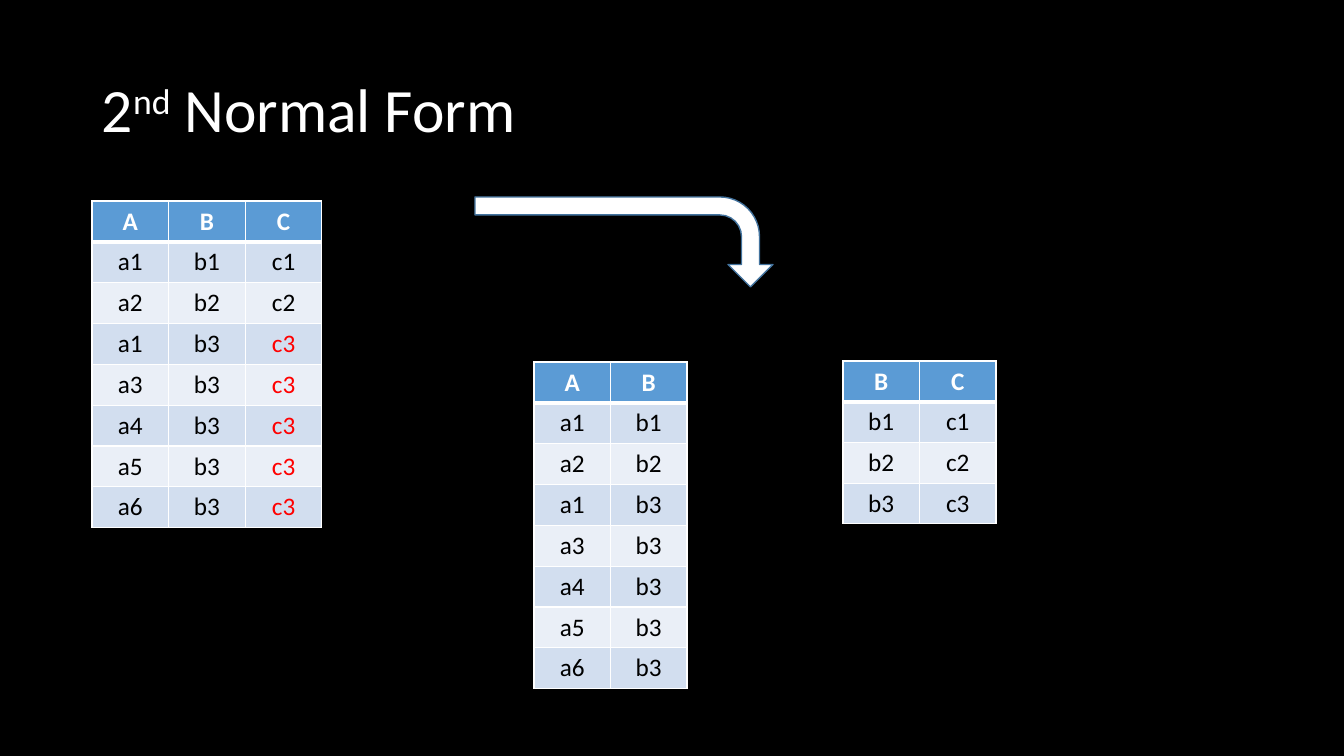
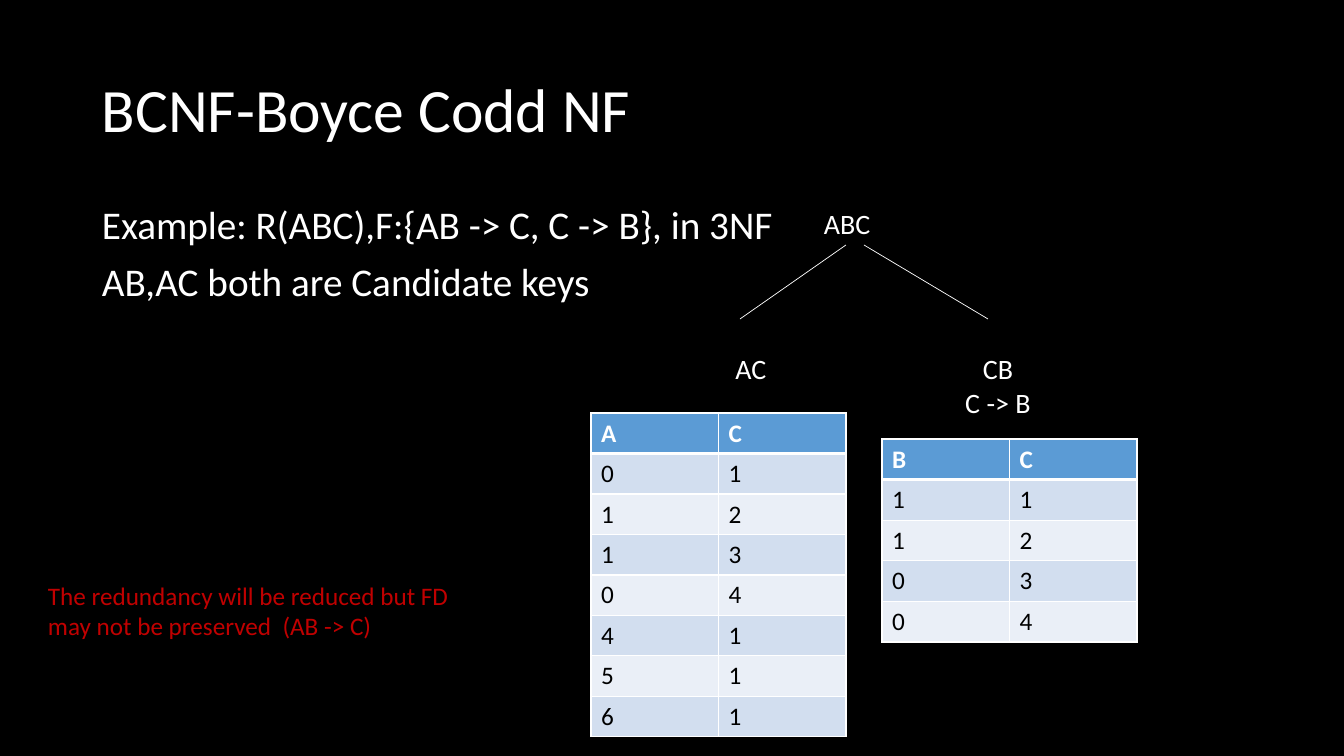
from lxml import etree
from pptx import Presentation
from pptx import util as u
from pptx.dml import color
from pptx.enum import shapes, text
from pptx.oxml import ns

EMU_PER_PX = 914400 / 100.8
FONT = "Calibri"
WHITE, BLACK, RED, DARK_RED = "FFFFFF", "000000", "FF0000", "C00000"
HEADER, BANDS = "5B9BD5", ("D2DEEF", "EAEFF7")
ARROW_EDGE = "43739E"
TITLE_BOX = (92, 40, 1159, 146)
CENTER = text.PP_ALIGN.CENTER


def px(*lengths):
    return [u.Emu(round(length * EMU_PER_PX)) for length in lengths]


def rgb(value):
    return color.RGBColor.from_string(value)


def fill(target, value):
    target.fill.solid()
    target.fill.fore_color.rgb = rgb(value)


def set_format(target, values):
    for name, value in values.items():
        setattr(target, name, value)


def add_run(paragraph, words, size, ink, bold=False):
    run = paragraph.add_run()
    run.text = words
    set_format(run.font, {"name": FONT, "size": u.Pt(size), "bold": bold})
    run.font.color.rgb = rgb(ink)
    return run


def add_text(slide, box, lines, size, ink=WHITE, wrap=True, frame_format=None, **paragraph_format):
    """Add one paragraph per line; a line is a string or a list of (words, baseline)."""
    frame = slide.shapes.add_textbox(*px(*box)).text_frame
    set_format(frame, {"word_wrap": wrap, **(frame_format or {})})
    for index, line in enumerate(lines):
        paragraph = frame.add_paragraph() if index else frame.paragraphs[0]
        set_format(paragraph, paragraph_format)
        for words, baseline in [(line, 0)] if isinstance(line, str) else line:
            run = add_run(paragraph, words, size, ink)
            if baseline:
                run.font._element.set("baseline", str(baseline * 1000))


def add_borders(cell, widths):
    properties = cell._tc.get_or_add_tcPr()
    for side, width in widths.items():
        line = etree.SubElement(properties, ns.qn(f"a:ln{side}"), w=str(u.Pt(width)))
        solid = etree.SubElement(line, ns.qn("a:solidFill"))
        etree.SubElement(solid, ns.qn("a:srgbClr"), val=WHITE)


def add_relation(slide, box, rows, align=None, highlight=None):
    """Add a banded table from rows of space-separated values; the first row is the header."""
    rows = [row.split() for row in rows]
    left, top, width, height = box
    table = slide.shapes.add_table(len(rows), len(rows[0]), *px(*box)).table
    for column in table.columns:
        column.width = px(width / len(rows[0]))[0]
    for row_index, values in enumerate(rows):
        table.rows[row_index].height = px(height / len(rows))[0]
        is_header = row_index == 0
        for column_index, value in enumerate(values):
            cell = table.cell(row_index, column_index)
            cell.margin_bottom = px(4)[0]
            add_borders(cell, {"L": 1, "R": 1, "T": 3 if row_index == 1 else 1,
                               "B": 3 if is_header else 1})
            fill(cell, HEADER if is_header else BANDS[(row_index - 1) % 2])
            paragraph = cell.text_frame.paragraphs[0]
            paragraph.alignment = align
            ink = WHITE if is_header else RED if value == highlight else BLACK
            add_run(paragraph, value, 18, ink, is_header)


def add_branch(slide, start, end):
    line = slide.shapes.add_connector(shapes.MSO_CONNECTOR.STRAIGHT, *px(*start, *end))
    line.line.color.rgb = rgb(WHITE)
    line.line.width = u.Pt(0.5)
    etree.SubElement(line._element.spPr, ns.qn("a:effectLst"))


def add_turn_arrow(slide, box):
    arrow = slide.shapes.add_shape(shapes.MSO_SHAPE.BENT_ARROW, *px(*box))
    arrow.rotation = 90
    arrow.shadow.inherit = False
    for index, value in enumerate((0.2, 0.25, 0.25, 0.44)):
        arrow.adjustments[index] = value
    fill(arrow, WHITE)
    arrow.line.color.rgb = rgb(ARROW_EDGE)
    arrow.line.width = u.Pt(1)


def add_titled_slide(presentation, title):
    slide = presentation.slides.add_slide(presentation.slide_layouts[6])
    fill(slide.background, BLACK)
    add_text(slide, TITLE_BOX, [title], 44, line_spacing=0.9,
             frame_format={"vertical_anchor": text.MSO_ANCHOR.MIDDLE})
    return slide


def add_decomposition_tree(slide, left, top):
    """Place the root ABC, its two branches and the labels of both parts."""
    add_text(slide, (left + 89, top, 68, 44), ["ABC"], 20, wrap=False)
    for start, end in ((121, 15), (139, 263)):
        add_branch(slide, (left + start, top + 43), (left + end, top + 117))
    for offset, width, lines in ((0, 52, ["AC"]), (230, 86, ["CB", "C -> B"])):
        add_text(slide, (left + offset, top + 145, width, 78), lines, 20,
                 wrap=False, alignment=CENTER)


def add_second_form_slide(presentation):
    slide = add_titled_slide(presentation, [("2", 0), ("nd", 30), (" Normal Form", 0)])
    pairs = ["a1 b1", "a2 b2"] + [f"a{number} b3" for number in (1, 3, 4, 5, 6)]
    relation = [f"{pair} c{pair[-1]}" for pair in pairs]
    add_relation(slide, (92, 201, 230, 327), ["A B C"] + relation, CENTER, highlight="c3")
    add_relation(slide, (534, 362, 153, 327), ["A B"] + pairs, CENTER)
    add_relation(slide, (843, 361, 153, 163), ["B C", "b1 c1", "b2 c2", "b3 c3"], CENTER)
    add_turn_arrow(slide, (579, 93, 90, 298))


def add_boyce_codd_slide(presentation):
    slide = add_titled_slide(presentation, "BCNF-Boyce Codd NF")
    add_text(slide, (92, 201, 1159, 480),
             ["Example: R(ABC),F:{AB -> C, C -> B}, in 3NF", "AB,AC both are Candidate keys"],
             28, line_spacing=0.9, space_before=u.Pt(10))
    add_decomposition_tree(slide, 725, 202)
    add_relation(slide, (591, 413, 255, 324),
                 ["A C", "0 1", "1 2", "1 3", "0 4", "4 1", "5 1", "6 1"])
    add_relation(slide, (882, 439, 255, 203), ["B C", "1 1", "1 2", "0 3", "0 4"])
    add_text(slide, (38, 575, 466, 72),
             ["The redundancy will be reduced but FD may not be preserved  (AB -> C)"],
             18, DARK_RED)


def main():
    presentation = Presentation()
    presentation.slide_width, presentation.slide_height = px(1344, 756)
    add_second_form_slide(presentation)
    add_boyce_codd_slide(presentation)
    presentation.save("out.pptx")


if __name__ == "__main__":
    main()
